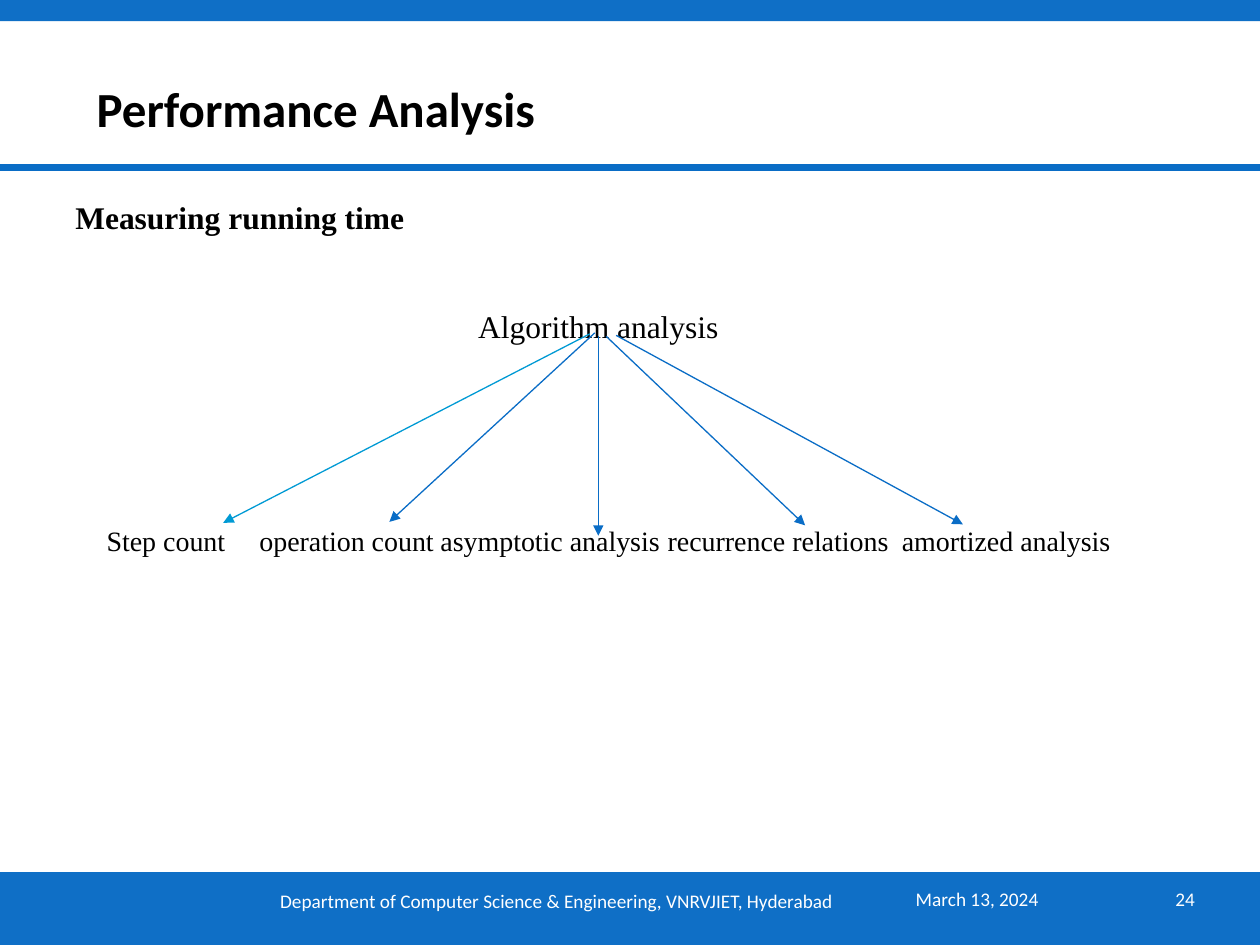
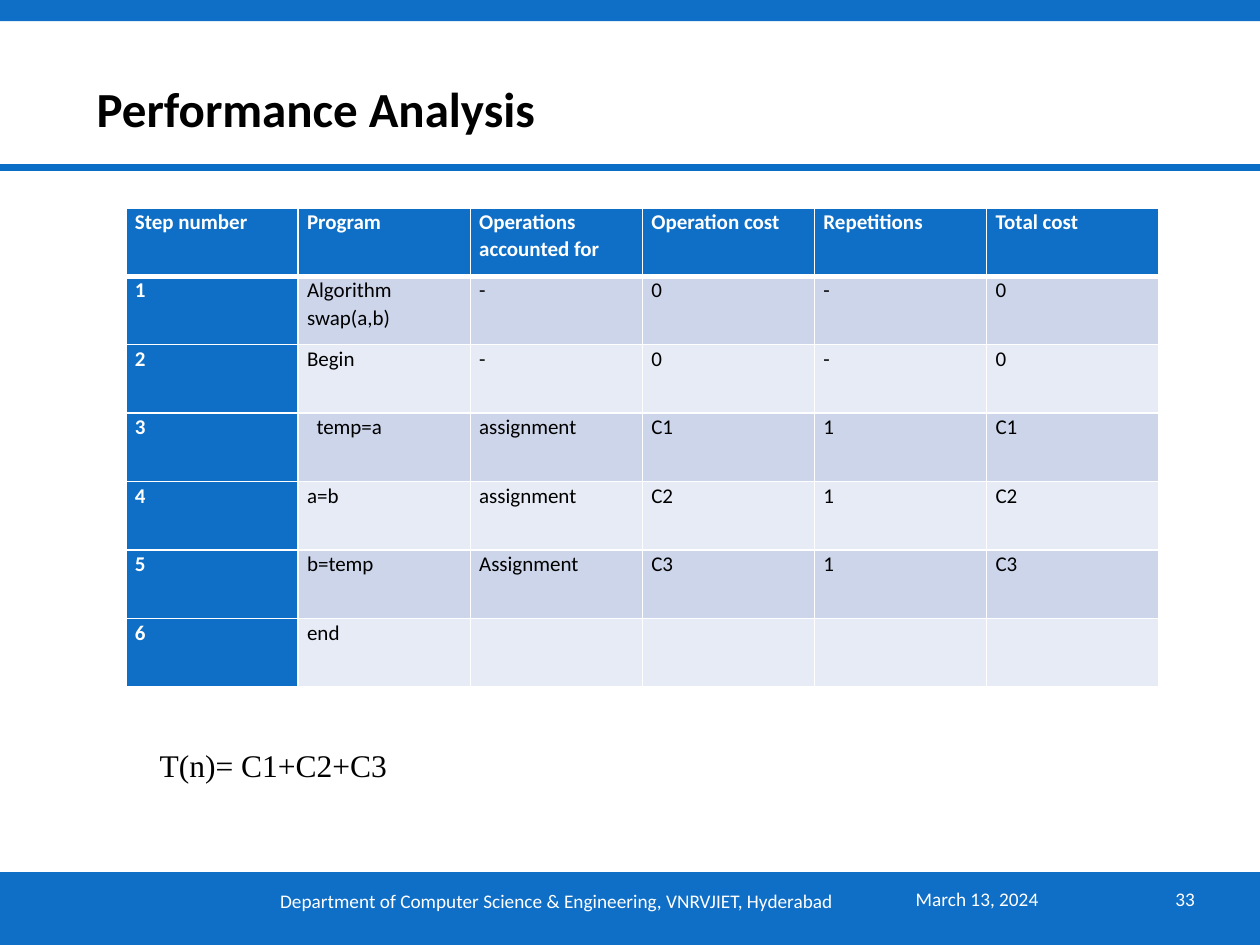
from dataclasses import dataclass

from lxml import etree
from pptx import Presentation
from pptx.dml.color import RGBColor
from pptx.enum.shapes import MSO_CONNECTOR, MSO_SHAPE
from pptx.enum.text import MSO_ANCHOR, MSO_AUTO_SIZE, PP_ALIGN
from pptx.oxml.ns import qn
from pptx.util import Cm, Pt

LEFT, CENTER, RIGHT, JUSTIFY = PP_ALIGN.LEFT, PP_ALIGN.CENTER, PP_ALIGN.RIGHT, PP_ALIGN.JUSTIFY
TOP, MIDDLE = MSO_ANCHOR.TOP, MSO_ANCHOR.MIDDLE
NO_FIT = MSO_AUTO_SIZE.NONE
STRAIGHT = MSO_CONNECTOR.STRAIGHT
RECTANGLE = MSO_SHAPE.RECTANGLE
TITLE_ONLY = 5
PAGE_WIDTH, PAGE_HEIGHT = 25.4, 19.05


@dataclass(frozen=True)
class Theme:
    blue: str = "0F6FC6"
    line_blue: str = "0A6DC6"
    sky: str = "009AD4"
    white: str = "FFFFFF"
    black: str = "000000"
    band_dark: str = "CCD5EA"
    band_light: str = "E7EBF5"
    sans: str = "Calibri"
    serif: str = "Times New Roman"
    title_size: float = 28
    text_size: float = 18
    label_size: float = 16
    table_size: float = 12
    footer_size: float = 11
    line_spacing: float = 1.07


class SlideBuilder:
    def __init__(self, theme):
        self.theme = theme
        self.deck = Presentation()
        self.deck.slide_width = Cm(PAGE_WIDTH)
        self.deck.slide_height = Cm(PAGE_HEIGHT)
        self.page = None

    def start(self, title, number):
        theme = self.theme
        self.page = self.deck.slides.add_slide(self.deck.slide_layouts[TITLE_ONLY])
        self.band(17.58, 1.47)
        self.band(0, 0.43)
        self.line((0, 3.38), (PAGE_WIDTH, 3.38), theme.line_blue, 4)
        self.title(title)
        self.footer("March 13, 2024", 18.21, 17.6, 3.81, LEFT)
        self.footer("Department of Computer Science & Engineering, VNRVJIET, Hyderabad",
                    4.24, 17.65, 13.97, CENTER)
        self.footer(number, 22.22, 17.6, 2.12, RIGHT)

    def style(self, para, font, size, color, bold=False, align=LEFT):
        para.alignment = align
        para.font.name = font
        para.font.size = Pt(size)
        para.font.bold = bold
        para.font.color.rgb = RGBColor.from_string(color)

    def band(self, top, height):
        shape = self.page.shapes.add_shape(RECTANGLE, 0, Cm(top), Cm(PAGE_WIDTH), Cm(height))
        shape.shadow.inherit = False
        shape.fill.solid()
        shape.fill.fore_color.rgb = RGBColor.from_string(self.theme.blue)
        shape.line.fill.background()

    def line(self, start, end, color, width, arrow=False):
        connector = self.page.shapes.add_connector(STRAIGHT, *map(Cm, start + end))
        connector.line.color.rgb = RGBColor.from_string(color)
        connector.line.width = Pt(width)
        properties = connector._element.spPr
        if arrow:
            etree.SubElement(properties.find(qn("a:ln")), qn("a:tailEnd"), type="triangle")
        etree.SubElement(properties, qn("a:effectLst"))

    def title(self, text):
        box = self.page.shapes.title
        box.left, box.top, box.width, box.height = Cm(0.43), Cm(0.97), Cm(21.79), Cm(2.41)
        frame = box.text_frame
        frame.text = text
        frame.auto_size = NO_FIT
        frame.margin_left = Cm(1.52)
        frame.vertical_anchor = MIDDLE
        self.style(frame.paragraphs[0], self.theme.sans, self.theme.title_size,
                   self.theme.black, True, JUSTIFY)

    def text_box(self, text, left, top, width, height, anchor=TOP):
        box = self.page.shapes.add_textbox(Cm(left), Cm(top), Cm(width), Cm(height))
        frame = box.text_frame
        frame.word_wrap = True
        frame.vertical_anchor = anchor
        para = frame.paragraphs[0]
        para.text = text
        return para

    def footer(self, text, left, top, width, align):
        para = self.text_box(text, left, top, width, 1.02, MIDDLE)
        self.style(para, self.theme.sans, self.theme.footer_size, self.theme.white, align=align)

    def text(self, text, left, top, width, size, bold=False, align=LEFT, tabs=()):
        para = self.text_box(text, left, top, width, 1.04)
        para.line_spacing = self.theme.line_spacing
        if tabs:
            tab_list = etree.SubElement(para._p.get_or_add_pPr(), qn("a:tabLst"))
            for position in tabs:
                etree.SubElement(tab_list, qn("a:tab"), pos=str(Cm(position)), algn="l")
        self.style(para, self.theme.serif, size, self.theme.black, bold, align)

    def table(self, rows, left, top, column_width, row_height):
        row_count, column_count = len(rows), len(rows[0])
        grid = self.page.shapes.add_table(
            row_count, column_count, Cm(left), Cm(top),
            Cm(column_width * column_count), Cm(row_height * row_count)).table
        for column in grid.columns:
            column.width = Cm(column_width)
        for row_index, values in enumerate(rows):
            grid.rows[row_index].height = Cm(row_height)
            for column_index, value in enumerate(values):
                self.cell(grid.cell(row_index, column_index), value, row_index, column_index)

    def cell(self, cell, value, row, column):
        theme = self.theme
        heading = row == 0 or column == 0
        cell.margin_left = cell.margin_right = Cm(0.18)
        cell.margin_top = cell.margin_bottom = 0
        para = cell.text_frame.paragraphs[0]
        para.text = value
        para.line_spacing = theme.line_spacing
        self.style(para, theme.sans, theme.table_size,
                   theme.white if heading else theme.black, heading, JUSTIFY)
        widths = {"lnL": 1, "lnR": 1, "lnT": 3 if row == 1 else 1, "lnB": 3 if row == 0 else 1}
        for side, width in widths.items():
            border = etree.SubElement(cell._tc.get_or_add_tcPr(), qn(f"a:{side}"), w=str(Pt(width)))
            fill = etree.SubElement(border, qn("a:solidFill"))
            etree.SubElement(fill, qn("a:srgbClr"), val=theme.white)
        band = theme.band_dark if row % 2 else theme.band_light
        cell.fill.solid()
        cell.fill.fore_color.rgb = RGBColor.from_string(theme.blue if heading else band)


def add_running_time(builder):
    theme = builder.theme
    builder.start("Performance Analysis", "24")
    builder.text("Measuring running time", 1.27, 3.81, 21.59, theme.text_size, bold=True)
    builder.text("Algorithm analysis", 1.27, 6.01, 21.59, theme.text_size, align=CENTER)
    methods = ["Step count", "operation count", "asymptotic analysis",
               "recurrence relations", "amortized analysis"]
    builder.text("\t".join(methods), 1.9, 10.39, 21.59, theme.label_size,
                 tabs=(3.08, 6.73, 11.31, 16.03))
    arrows = [
        ((11.89, 6.73), (4.5, 10.54), theme.sky),
        ((11.99, 6.71), (7.85, 10.52), theme.line_blue),
        ((12.06, 6.78), (12.06, 10.8), theme.line_blue),
        ((12.22, 6.78), (16.23, 10.59), theme.line_blue),
        ((12.42, 6.76), (19.41, 10.57), theme.line_blue),
    ]
    for start, end, color in arrows:
        builder.line(start, end, color, 0.75, arrow=True)


def add_operation_costs(builder):
    builder.start("Performance Analysis", "33")
    builder.table([
        ["Step number", "Program", "Operations accounted for",
         "Operation cost", "Repetitions", "Total cost"],
        ["1", "Algorithm swap(a,b)", "-", "0", "-", "0"],
        ["2", "Begin", "-", "0", "-", "0"],
        ["3", "  temp=a", "assignment", "C1", "1", "C1"],
        ["4", "a=b", "assignment", "C2", "1", "C2"],
        ["5", "b=temp", "Assignment", "C3", "1", "C3"],
        ["6", "end", "", "", "", ""],
    ], 2.54, 4.19, 3.47, 1.38)
    builder.text("T(n)= C1+C2+C3", 2.97, 14.86, 12.75, builder.theme.text_size, align=JUSTIFY)


def main():
    builder = SlideBuilder(Theme())
    add_running_time(builder)
    add_operation_costs(builder)
    builder.deck.save("out.pptx")


if __name__ == "__main__":
    main()
